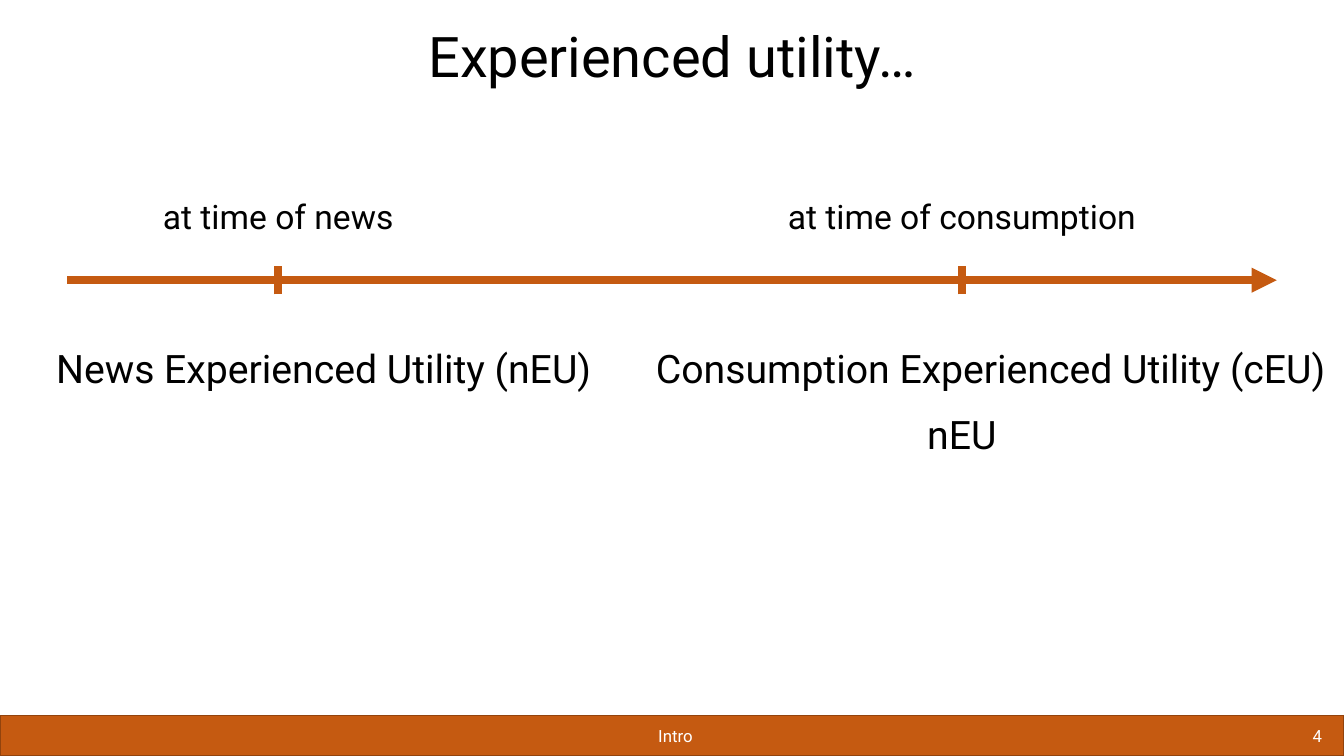
from pptx import Presentation, util as u
from pptx.dml.color import RGBColor
from pptx.enum import shapes, text
from pptx.oxml.ns import qn
from lxml import etree

WIDE, HIGH = u.Inches(13.33), u.Inches(7.5)
RUST = RGBColor(0xC5, 0x5A, 0x11)
EDGE = RGBColor(0x92, 0x43, 0x0D)
BLACK = RGBColor(0, 0, 0)
WHITE = RGBColor(255, 255, 255)

MID = 50
NEWS, USE = 20.7, 71.57
AXIS, TICK = 37.07, 1.87
BAR, DEEP = 94.67, 5.33
ROW = 9.47


def across(pct):
    return round(WIDE * pct / 100)


def down(pct):
    return round(HIGH * pct / 100)


def apply(item, style):
    for name, value in style.items():
        setattr(item, name, value)


def add_bar(slide):
    bar = slide.shapes.add_shape(
        shapes.MSO_SHAPE.RECTANGLE, 0, down(BAR), WIDE, down(DEEP))
    bar.shadow.inherit = False
    bar.fill.solid()
    bar.fill.fore_color.rgb = RUST
    bar.line.color.rgb = EDGE
    bar.line.width = u.Pt(1)


def add_label(slide, words, centre, top, width, height, size, color=BLACK,
              align=text.PP_ALIGN.CENTER, anchor=text.MSO_ANCHOR.TOP,
              space=1.0):
    box = slide.shapes.add_textbox(across(centre - width / 2), down(top),
                                   across(width), down(height))
    frame = box.text_frame
    apply(frame, {"word_wrap": True, "vertical_anchor": anchor})
    para = frame.paragraphs[0]
    para.text = words
    apply(para, {"alignment": align, "line_spacing": space})
    apply(para.runs[0].font, {"name": "Roboto", "size": u.Pt(size)})
    para.runs[0].font.color.rgb = color


def add_line(slide, left, top, right, base, arrow=False):
    line = slide.shapes.add_connector(
        shapes.MSO_CONNECTOR.STRAIGHT,
        across(left), down(top), across(right), down(base))
    line.line.color.rgb = RUST
    line.line.width = u.Pt(6)
    if arrow:
        tail = etree.SubElement(line.line._get_or_add_ln(), qn("a:tailEnd"))
        tail.set("type", "triangle")
    etree.SubElement(line._element.spPr, qn("a:effectLst"))


def main():
    deck = Presentation()
    apply(deck, {"slide_width": WIDE, "slide_height": HIGH})
    slide = deck.slides.add_slide(deck.slide_layouts[6])

    add_bar(slide)
    add_label(slide, "Experienced utility…", MID, 3.07, 90, ROW, 40,
              anchor=text.MSO_ANCHOR.BOTTOM, space=0.9)
    foot = {"size": 12, "color": WHITE, "anchor": text.MSO_ANCHOR.MIDDLE}
    add_label(slide, "Intro", 50.26, BAR, 66.92, DEEP, **foot)
    add_label(slide, "4", 91.37, BAR, 15.45, DEEP,
              align=text.PP_ALIGN.RIGHT, **foot)

    add_line(slide, 5, AXIS, 95, AXIS, arrow=True)
    for stop, words, width in ((NEWS, "at time of news", 24.76),
                               (USE, "at time of consumption", 28.88)):
        add_line(slide, stop, AXIS + TICK, stop, AXIS - TICK)
        add_label(slide, words, stop, 25.27, width, 6.67, 24)

    for words, centre, top, width in (
            ("Consumption Experienced Utility (cEU)", 73.7, 45.6, 52.59),
            ("News Experienced Utility (nEU)", 24.08, 45.6, 44.71),
            ("nEU", USE, 54.27, 52.59)):
        add_label(slide, words, centre, top, width, ROW, 28, space=0.9)

    deck.save("out.pptx")


if __name__ == "__main__":
    main()
